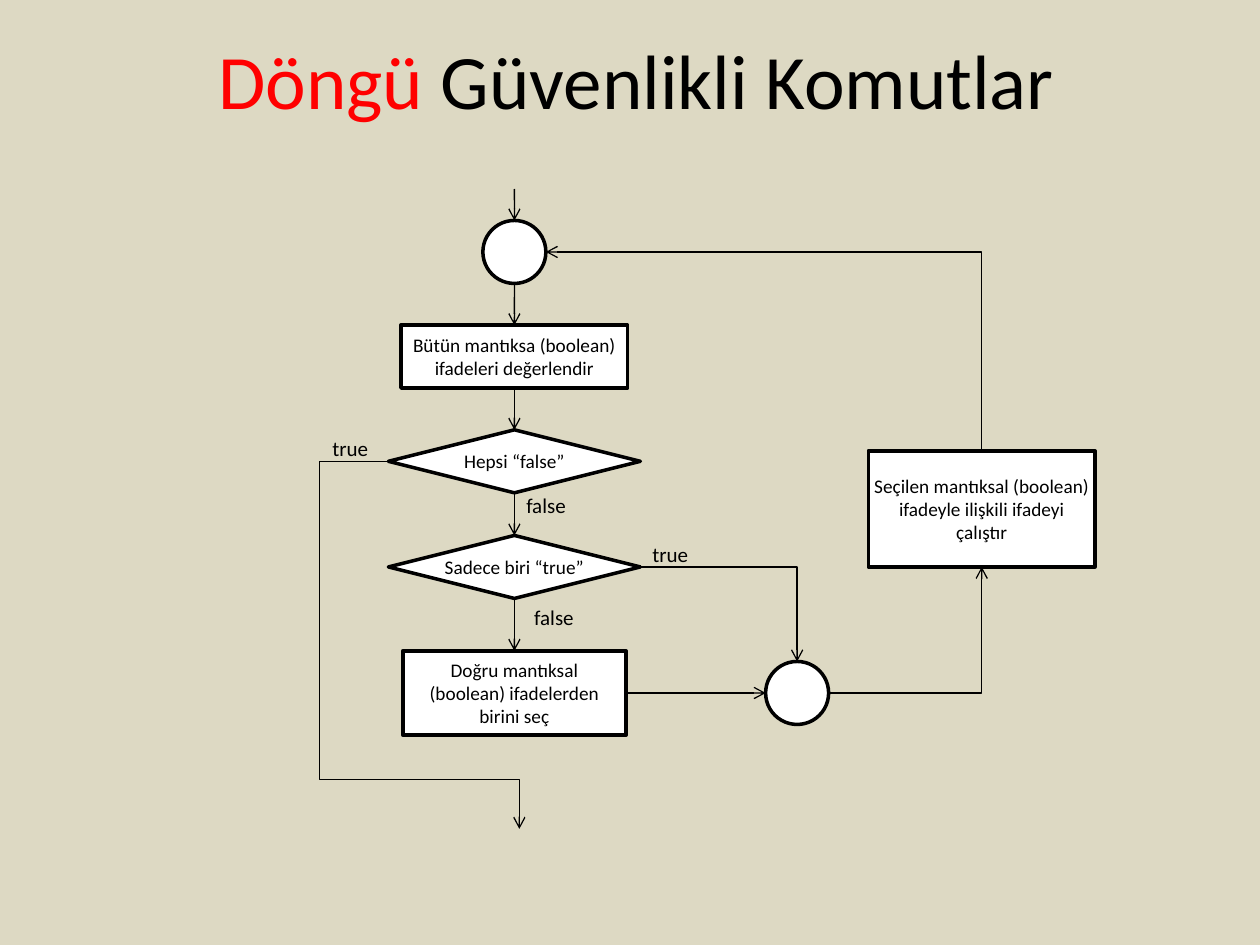
from dataclasses import dataclass
from enum import IntEnum
from typing import NamedTuple, Optional

from lxml.etree import SubElement
from pptx import Presentation
from pptx.dml.color import RGBColor
from pptx.enum.shapes import MSO_CONNECTOR, MSO_SHAPE
from pptx.enum.text import MSO_ANCHOR, MSO_AUTO_SIZE, PP_ALIGN
from pptx.oxml.ns import qn
from pptx.util import Cm, Pt


@dataclass(frozen=True)
class Theme:
    font: str = "Calibri"
    background: RGBColor = RGBColor(0xDD, 0xD9, 0xC3)
    ink: RGBColor = RGBColor(0, 0, 0)
    accent: RGBColor = RGBColor(0xFF, 0, 0)
    node_fill: RGBColor = RGBColor(0xFF, 0xFF, 0xFF)
    title_size: int = 44
    label_size: int = 12
    node_size: int = 11
    outline: float = 2
    flow_line: float = 0.75


THEME = Theme()
MAIN_AXIS = 10.37


class Side(IntEnum):
    TOP = 0
    LEFT = 1
    BOTTOM = 2
    RIGHT = 3


class Node(NamedTuple):
    """A flowchart shape, placed by its centre in centimetres."""
    kind: MSO_SHAPE
    x: float
    y: float
    width: float
    height: float
    text: str = ""
    inset: float = 0.1


class Label(NamedTuple):
    text: str
    left: float
    top: float
    width: float


class Anchor(NamedTuple):
    """An end of a flow line; without a shape it is free."""
    x: int
    y: int
    shape_id: Optional[int] = None
    site: int = 0


class Flow(NamedTuple):
    start: Anchor
    end: Anchor
    bend: str = ""
    arrow_end: str = "a:tailEnd"
    adjustments: tuple = ()


NODES = {
    "entry": Node(MSO_SHAPE.OVAL, MAIN_AXIS, 5.08, 1.27, 1.27),
    "join": Node(MSO_SHAPE.OVAL, 16.07, 13.97, 1.27, 1.27),
    "evaluate": Node(MSO_SHAPE.RECTANGLE, MAIN_AXIS, 7.19, 4.57, 1.27,
                     "Bütün mantıksa (boolean) ifadeleri değerlendir"),
    "choose": Node(MSO_SHAPE.RECTANGLE, MAIN_AXIS, 13.97, 4.5, 1.7,
                   "Doğru mantıksal (boolean) ifadelerden birini seç", 0.38),
    "run": Node(MSO_SHAPE.RECTANGLE, 19.79, 10.26, 4.57, 2.34,
                "Seçilen mantıksal (boolean) ifadeyle ilişkili ifadeyi çalıştır"),
    "all_false": Node(MSO_SHAPE.FLOWCHART_DECISION, MAIN_AXIS, 9.3, 5.08, 1.27,
                      "Hepsi “false”"),
    "one_true": Node(MSO_SHAPE.FLOWCHART_DECISION, MAIN_AXIS, 11.43, 5.08, 1.27,
                     "Sadece biri “true”"),
}

LABELS = [
    Label("true", 6.45, 8.66, 1.24),
    Label("false", 10.36, 9.8, 1.32),
    Label("true", 12.9, 10.8, 1.24),
    Label("false", 10.52, 12.06, 1.32),
]


def format_run(run, size: float, color: RGBColor) -> None:
    run.font.name = THEME.font
    run.font.size = Pt(size)
    run.font.color.rgb = color


def add_title(slide) -> None:
    shape = slide.shapes.add_textbox(Cm(1.4), Cm(0), Cm(22.86), Cm(3.18))
    frame = shape.text_frame
    frame.word_wrap = True
    frame.vertical_anchor = MSO_ANCHOR.MIDDLE
    paragraph = frame.paragraphs[0]
    paragraph.alignment = PP_ALIGN.CENTER
    for text, color in (("Döngü ", THEME.accent), ("Güvenlikli Komutlar", THEME.ink)):
        run = paragraph.add_run()
        run.text = text
        format_run(run, THEME.title_size, color)


def add_node(slide, node: Node):
    shape = slide.shapes.add_shape(
        node.kind, Cm(node.x - node.width / 2), Cm(node.y - node.height / 2),
        Cm(node.width), Cm(node.height))
    shape.shadow.inherit = False
    shape.fill.solid()
    shape.fill.fore_color.rgb = THEME.node_fill
    shape.line.color.rgb = THEME.ink
    shape.line.width = Pt(THEME.outline)
    if node.text:
        frame = shape.text_frame
        frame.text = node.text
        frame.word_wrap = node.kind != MSO_SHAPE.FLOWCHART_DECISION
        frame.vertical_anchor = MSO_ANCHOR.MIDDLE
        frame.margin_left = frame.margin_right = Cm(node.inset)
        frame.margin_top = frame.margin_bottom = 0
        frame.paragraphs[0].alignment = PP_ALIGN.CENTER
        format_run(frame.paragraphs[0].runs[0], THEME.node_size, THEME.ink)
    return shape


def add_label(slide, label: Label) -> None:
    shape = slide.shapes.add_textbox(
        Cm(label.left), Cm(label.top), Cm(label.width), Cm(0.77))
    frame = shape.text_frame
    frame.text = label.text
    frame.word_wrap = False
    frame.auto_size = MSO_AUTO_SIZE.SHAPE_TO_FIT_TEXT
    format_run(frame.paragraphs[0].runs[0], THEME.label_size, THEME.ink)


def anchor_on(shape, side: Side) -> Anchor:
    """Middle of one side; an oval has a second site between each two sides."""
    across, down = {Side.TOP: (0.5, 0), Side.LEFT: (0, 0.5),
                    Side.BOTTOM: (0.5, 1), Side.RIGHT: (1, 0.5)}[side]
    step = 2 if shape.auto_shape_type == MSO_SHAPE.OVAL else 1
    return Anchor(int(shape.left + across * shape.width),
                  int(shape.top + down * shape.height), shape.shape_id, side * step)


def add_flow(slide, flow: Flow) -> None:
    kind = MSO_CONNECTOR.ELBOW if flow.bend else MSO_CONNECTOR.STRAIGHT
    connector = slide.shapes.add_connector(
        kind, flow.start.x, flow.start.y, flow.end.x, flow.end.y)
    connector.line.color.rgb = THEME.ink
    connector.line.width = Pt(THEME.flow_line)
    properties = connector._element.spPr
    SubElement(properties.find(qn("a:ln")), qn(flow.arrow_end), type="arrow")
    SubElement(properties, qn("a:effectLst"))
    if flow.bend:
        geometry = properties.find(qn("a:prstGeom"))
        geometry.set("prst", flow.bend)
        for number, value in enumerate(flow.adjustments, 1):
            SubElement(geometry.find(qn("a:avLst")), qn("a:gd"),
                       name=f"adj{number}", fmla=f"val {value}")
    links = connector._element.find(f".//{qn('p:cNvCxnSpPr')}")
    for tag, anchor in (("a:stCxn", flow.start), ("a:endCxn", flow.end)):
        if anchor.shape_id is not None:
            SubElement(links, qn(tag), id=str(anchor.shape_id), idx=str(int(anchor.site)))


def main() -> None:
    presentation = Presentation()
    presentation.slide_width, presentation.slide_height = Cm(25.4), Cm(19.05)
    slide = presentation.slides.add_slide(presentation.slide_layouts[6])
    slide.background.fill.solid()
    slide.background.fill.fore_color.rgb = THEME.background

    add_title(slide)
    shapes = {name: add_node(slide, node) for name, node in NODES.items()}

    def at(name: str, side: Side) -> Anchor:
        return anchor_on(shapes[name], side)

    column = ["entry", "evaluate", "all_false", "one_true", "choose"]
    flows = [Flow(at(upper, Side.BOTTOM), at(lower, Side.TOP))
             for upper, lower in zip(column, column[1:])]
    flows += [
        Flow(Anchor(Cm(MAIN_AXIS), Cm(3.81)), at("entry", Side.TOP)),
        Flow(at("choose", Side.RIGHT), at("join", Side.LEFT)),
        Flow(at("one_true", Side.RIGHT), at("join", Side.TOP), "bentConnector2"),
        Flow(at("join", Side.RIGHT), at("run", Side.BOTTOM), "bentConnector2"),
        Flow(at("entry", Side.RIGHT), at("run", Side.TOP), "bentConnector2", "a:headEnd"),
        Flow(at("all_false", Side.LEFT), Anchor(Cm(10.47), Cm(16.71)),
             "bentConnector4", adjustments=(-52700, 86600)),
    ]
    for flow in flows:
        add_flow(slide, flow)
    for label in LABELS:
        add_label(slide, label)
    presentation.save("out.pptx")


if __name__ == "__main__":
    main()
